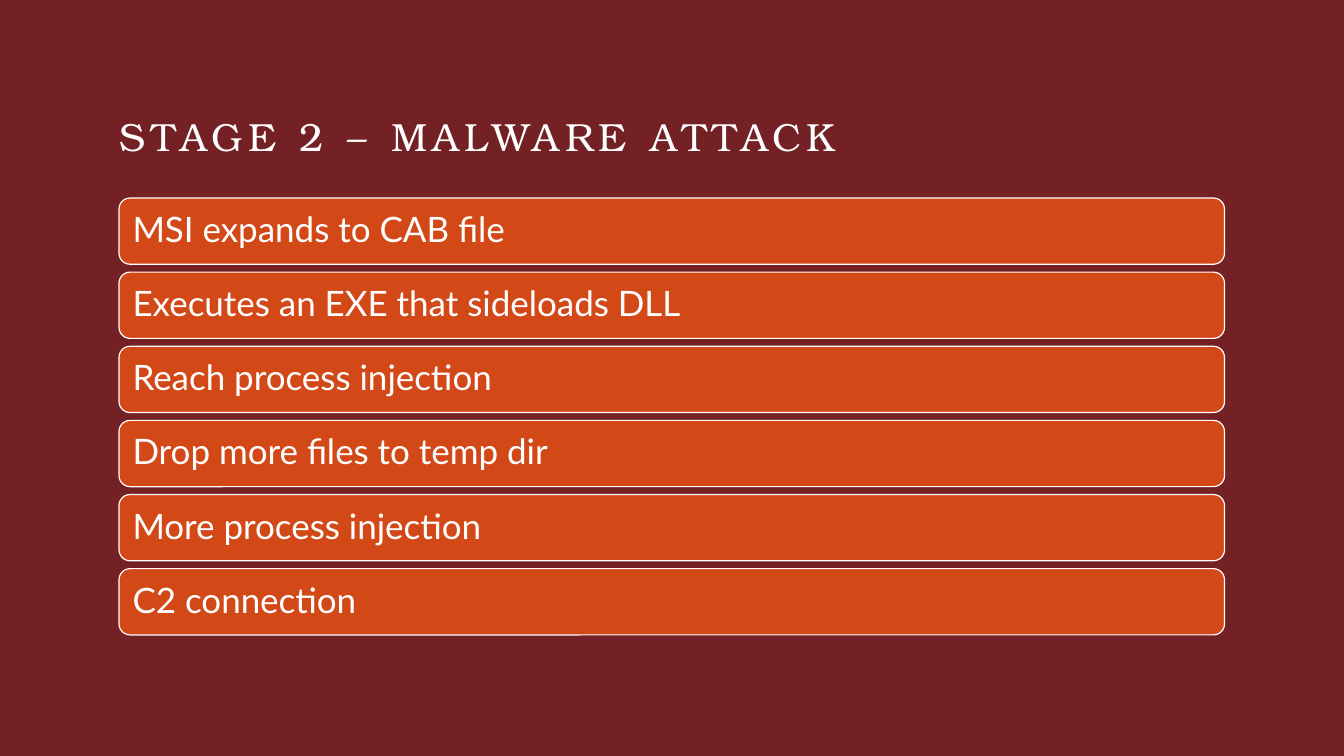
from dataclasses import dataclass

from pptx import Presentation
from pptx import util as u
from pptx.dml.color import RGBColor
from pptx.enum import shapes, text


@dataclass(frozen=True)
class Theme:
    background: RGBColor = RGBColor.from_string("732124")
    bar: RGBColor = RGBColor.from_string("D34817")
    light: RGBColor = RGBColor.from_string("FFFFFF")
    heading_font: str = "TeX Gyre Bonum"
    body_font: str = "Lato"
    heading_size: u.Pt = u.Pt(28)
    body_size: u.Pt = u.Pt(25)
    outline: u.Pt = u.Pt(0.85)


theme = Theme()
LEFT, WIDTH = u.Cm(3), u.Cm(27.86)
FIRST_TOP, LAST_BOTTOM = u.Cm(4.99), u.Cm(16)
STEP_HEIGHT = u.Cm(1.67)
STEPS = [
    "MSI expands to CAB file",
    "Executes an EXE that sideloads DLL",
    "Reach process injection",
    "Drop more files to temp dir",
    "More process injection",
    "C2 connection",
]


def write(frame, words, font_name, size, anchor, inset):
    frame.word_wrap = True
    frame.vertical_anchor = anchor
    frame.margin_left = frame.margin_right = inset
    frame.margin_top = frame.margin_bottom = inset
    paragraph = frame.paragraphs[0]
    paragraph.text = words
    paragraph.alignment = text.PP_ALIGN.LEFT
    paragraph.font.name = font_name
    paragraph.font.size = size
    paragraph.font.color.rgb = theme.light
    return paragraph


deck = Presentation()
deck.slide_width, deck.slide_height = u.Cm(33.87), u.Cm(19.05)
slide = deck.slides.add_slide(deck.slide_layouts[6])
slide.background.fill.solid()
slide.background.fill.fore_color.rgb = theme.background

heading = slide.shapes.add_textbox(LEFT, u.Cm(2.82), WIDTH, u.Cm(1.83))
heading_line = write(heading.text_frame, "STAGE 2 – MALWARE ATTACK", theme.heading_font,
                     theme.heading_size, text.MSO_ANCHOR.TOP, 0)
heading_line.runs[0].font._element.set("spc", "400")

pitch = (LAST_BOTTOM - FIRST_TOP - STEP_HEIGHT) / (len(STEPS) - 1)
for index, words in enumerate(STEPS):
    top = round(FIRST_TOP + index * pitch)
    step = slide.shapes.add_shape(shapes.MSO_SHAPE.ROUNDED_RECTANGLE,
                                  LEFT, top, WIDTH, STEP_HEIGHT)
    step.shadow.inherit = False
    step.fill.solid()
    step.fill.fore_color.rgb = theme.bar
    step.line.color.rgb = theme.light
    step.line.width = theme.outline
    step_line = write(step.text_frame, words, theme.body_font, theme.body_size,
                      text.MSO_ANCHOR.MIDDLE, u.Cm(0.26))
    step_line.line_spacing = 0.9

deck.save("out.pptx")
